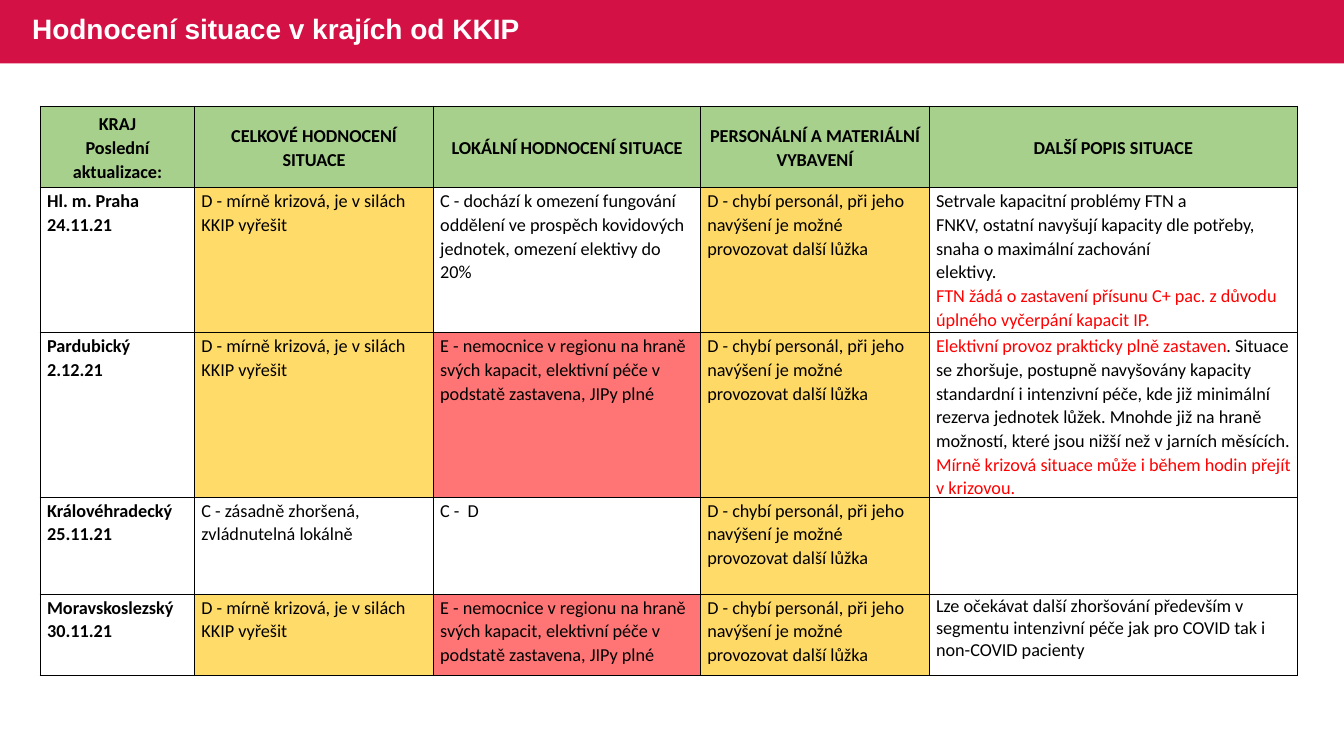
from lxml import etree
from pptx import Presentation
from pptx.dml.color import RGBColor
from pptx.enum import shapes, text
from pptx.oxml.ns import qn
from pptx.util import Pt

CRIMSON = RGBColor(0xD3, 0x11, 0x45)
WHITE = RGBColor(0xFF, 0xFF, 0xFF)
BLACK = RGBColor(0x00, 0x00, 0x00)
RED = RGBColor(0xFF, 0x00, 0x00)
GREEN = RGBColor(0xA8, 0xD0, 0x8D)
AMBER = RGBColor(0xFF, 0xDB, 0x69)
GOLD = RGBColor(0xFF, 0xD9, 0x66)
CORAL = RGBColor(0xFF, 0x75, 0x75)

COLUMN_WIDTHS = [110.2, 170.6, 190.8, 163.4, 262.8]
ROW_HEIGHTS = [58.2, 103.6, 116.8, 69.2, 58.2]

MILD_CRISIS = "D - mírně krizová, je v silách KKIP vyřešit"
HOSPITALS_FULL = ("E - nemocnice v regionu na hraně svých kapacit, "
                  "elektivní péče v podstatě zastavena, JIPy plné")
STAFF_MISSING = ("D - chybí personál, při jeho navýšení je možné "
                 "provozovat další lůžka")

# A cell is (fill, paragraphs); a paragraph is a list of (text, colour) runs.
header = [
    (GREEN, [[(line, BLACK)] for line in lines])
    for lines in (
        ["KRAJ", "Poslední aktualizace:"],
        ["CELKOVÉ HODNOCENÍ SITUACE"],
        ["LOKÁLNÍ HODNOCENÍ SITUACE"],
        ["PERSONÁLNÍ A MATERIÁLNÍ VYBAVENÍ"],
        ["DALŠÍ POPIS SITUACE"],
    )
]
regions = [
    ("Hl. m. Praha", "24.11.21", (AMBER, MILD_CRISIS),
     (None, "C - dochází k omezení fungování oddělení ve prospěch kovidových "
            "jednotek, omezení elektivy do 20%"),
     (GOLD, STAFF_MISSING),
     [[("Setrvale kapacitní problémy FTN a\nFNKV, ostatní navyšují kapacity "
        "dle potřeby, snaha o maximální zachování\nelektivy.", BLACK)],
      [("FTN žádá o zastavení přísunu C+ pac. z důvodu úplného vyčerpání "
        "kapacit IP.", RED)]]),
    ("Pardubický", "2.12.21", (AMBER, MILD_CRISIS), (CORAL, HOSPITALS_FULL),
     (GOLD, STAFF_MISSING),
     [[("Elektivní provoz prakticky plně zastaven", RED),
       (". Situace se zhoršuje, postupně navyšovány kapacity standardní i "
        "intenzivní péče, kde již minimální rezerva jednotek lůžek. Mnohde "
        "již na hraně možností, které jsou nižší než v jarních měsících. ",
        BLACK),
       ("Mírně krizová situace může i během hodin přejít v krizovou.", RED)]]),
    ("Královéhradecký", "25.11.21",
     (None, "C - zásadně zhoršená, zvládnutelná lokálně"), (None, "C -  D"),
     (AMBER, STAFF_MISSING), []),
    ("Moravskoslezský", "30.11.21", (AMBER, MILD_CRISIS),
     (CORAL, HOSPITALS_FULL), (GOLD, STAFF_MISSING),
     [[("Lze očekávat další zhoršování především v segmentu intenzivní péče "
        "jak pro COVID tak i non-COVID pacienty", BLACK)]]),
]
rows = [header]
for name, date, *ratings, description in regions:
    rows.append([(None, [[(name, BLACK)], [(date, BLACK)]])]
                + [(fill, [[(rating, BLACK)]]) for fill, rating in ratings]
                + [(None, description)])


def add_run(p, words, size, face, color, bold):
    r = p.add_run()
    r.text = words
    r.font.size = Pt(size)
    r.font.name = face
    r.font.color.rgb = color
    r.font.bold = bold


def add_borders(cell):
    tcPr = cell._tc.get_or_add_tcPr()
    for side in ("lnL", "lnR", "lnT", "lnB"):
        ln = etree.SubElement(tcPr, qn("a:" + side), w=str(Pt(1)))
        fill = etree.SubElement(ln, qn("a:solidFill"))
        etree.SubElement(fill, qn("a:srgbClr"), val=str(BLACK))


prs = Presentation()
prs.slide_width = Pt(960)
prs.slide_height = Pt(540)
s = prs.slides.add_slide(prs.slide_layouts[6])

banner = s.shapes.add_shape(shapes.MSO_SHAPE.RECTANGLE, 0, 0, Pt(960), Pt(45.2))
banner.shadow.inherit = False
banner.fill.solid()
banner.fill.fore_color.rgb = CRIMSON
banner.line.fill.background()

title = s.shapes.add_textbox(Pt(15.8), Pt(-0.7), Pt(586), Pt(45.4))
tf = title.text_frame
tf.word_wrap = True
tf.vertical_anchor = text.MSO_ANCHOR.MIDDLE
p = tf.paragraphs[0]
p.line_spacing = 0.9
add_run(p, "Hodnocení situace v krajích od KKIP", 20, "Arial", WHITE, True)

table = s.shapes.add_table(len(rows), len(COLUMN_WIDTHS), Pt(28.8), Pt(75.9),
                           Pt(sum(COLUMN_WIDTHS)), Pt(sum(ROW_HEIGHTS))).table
table.first_row = False
table.horz_banding = False
for column, width in zip(table.columns, COLUMN_WIDTHS):
    column.width = Pt(width)
for row, height in zip(table.rows, ROW_HEIGHTS):
    row.height = Pt(height)

for i, row in enumerate(rows):
    for j, (fill, paragraphs) in enumerate(row):
        cell = table.cell(i, j)
        add_borders(cell)
        if fill is None:
            cell.fill.background()
        else:
            cell.fill.solid()
            cell.fill.fore_color.rgb = fill
        cell.margin_left = cell.margin_right = Pt(4.9)
        cell.margin_top = Pt(0.7)
        cell.margin_bottom = 0
        is_header = i == 0
        if is_header:
            cell.vertical_anchor = text.MSO_ANCHOR.MIDDLE
        is_last = (i, j) == (len(rows) - 1, len(row) - 1)
        tf = cell.text_frame
        for k, runs in enumerate(paragraphs):
            p = tf.add_paragraph() if k else tf.paragraphs[0]
            p.line_spacing = 1.0 if is_last else 1.07
            if is_header:
                p.alignment = text.PP_ALIGN.CENTER
            for words, color in runs:
                for n, line in enumerate(words.split("\n")):
                    if n:
                        p.add_line_break()
                    add_run(p, line, 13, "Calibri", color, is_header or j == 0)

prs.save("out.pptx")
